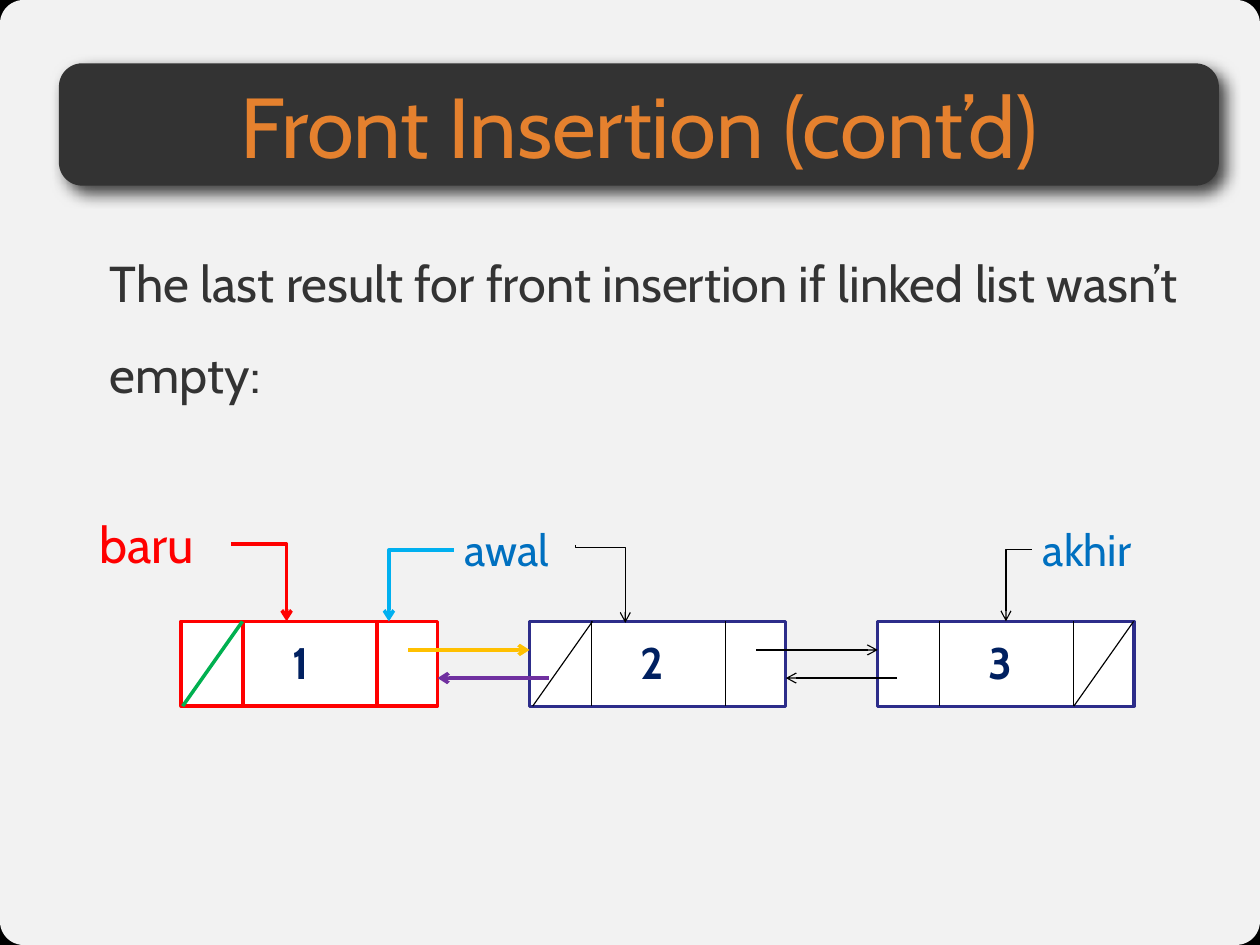
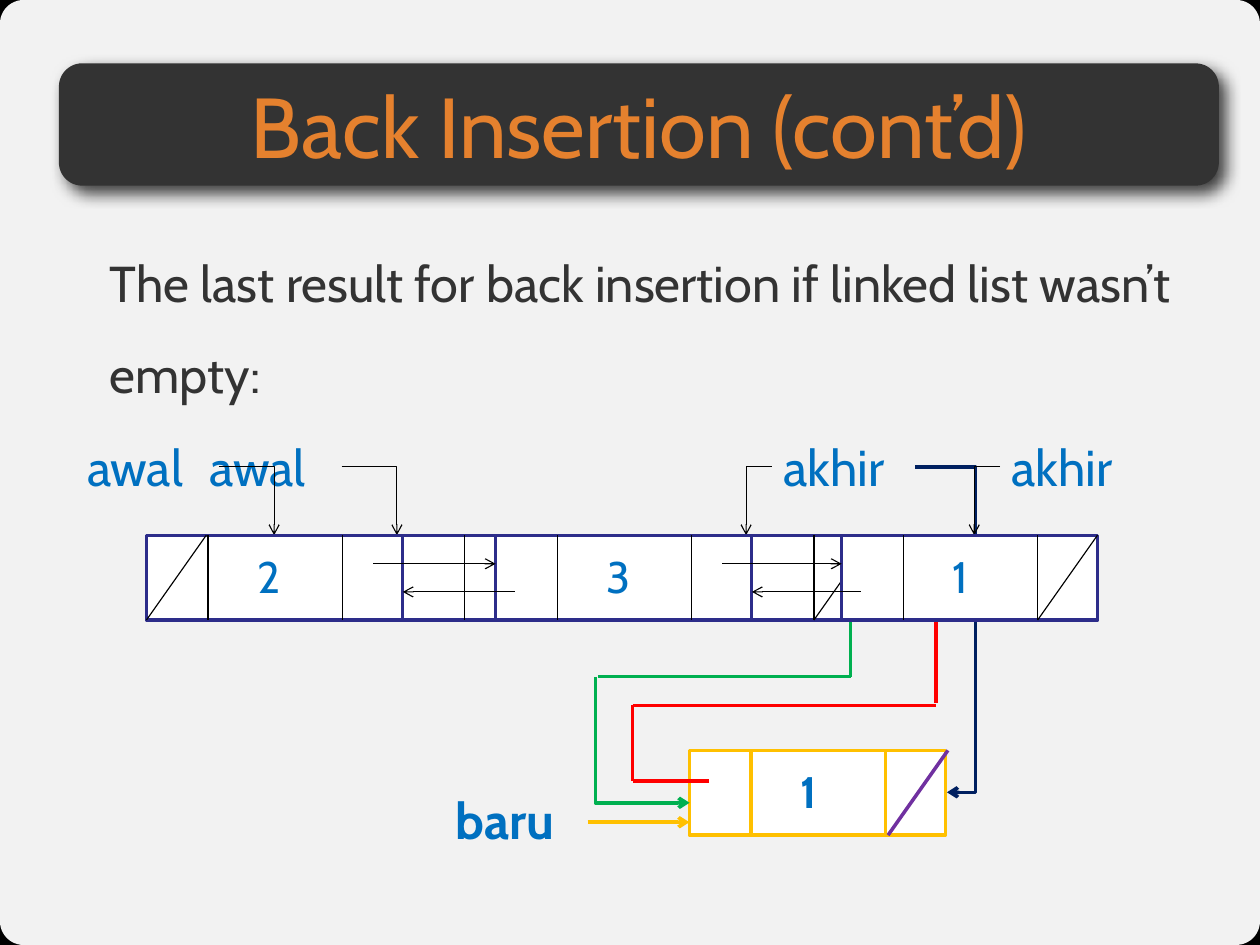
import pptx
import pptx.dml.color
import pptx.enum.shapes
import pptx.enum.text
import pptx.oxml
import pptx.oxml.ns
import pptx.util
from lxml import etree

Cm = pptx.util.Cm
Pt = pptx.util.Pt
qn = pptx.oxml.ns.qn
SHAPE = pptx.enum.shapes.MSO_SHAPE
CONNECTOR = pptx.enum.shapes.MSO_CONNECTOR

COLORS = {
    "black": "000000", "white": "FFFFFF", "charcoal": "333333",
    "orange": "E5812E", "indigo": "2D2D8A", "navy": "002060",
    "blue": "0070C0", "sky": "00B0F0", "red": "FF0000",
    "green": "00B050", "gold": "FFC000", "purple": "7030A0",
}
FONT = "Cabin"
SLIDE_W, SLIDE_H = 28.22, 21.17
NODE_W, NODE_H = 5.74, 1.9
LEFT_DIV, RIGHT_DIV = 1.38, 4.39
THIN, NODE_LINE, THICK = 0.75, 2, 2.25
DOWN_LEFT = {"rot": 180, "flip": "flipV"}


def rgb(name):
    return pptx.dml.color.RGBColor.from_string(COLORS[name])


def add_box(s, kind, x, y, w, h, fill, line=None, weight=THIN):
    sp = s.shapes.add_shape(kind, Cm(x), Cm(y), Cm(w), Cm(h))
    sp.shadow.inherit = False
    sp.fill.solid()
    sp.fill.fore_color.rgb = rgb(fill)
    if line:
        sp.line.color.rgb = rgb(line)
        sp.line.width = Pt(weight)
    else:
        sp.line.fill.background()
    return sp


def add_text(s, text, x, y, w, h, size, color, bold=False, inset=True):
    tf = s.shapes.add_textbox(Cm(x), Cm(y), Cm(w), Cm(h)).text_frame
    tf.word_wrap = True
    if not inset:
        tf.margin_left = tf.margin_right = tf.margin_top = tf.margin_bottom = 0
    p = tf.paragraphs[0]
    p.text = text
    p.font.name = FONT
    p.font.size = Pt(size)
    p.font.bold = bold
    p.font.color.rgb = rgb(color)
    return tf


def add_label(s, text, x, y, w, size=32, color="blue", bold=False):
    tf = add_text(s, text, x, y, w, size * 0.05, size, color, bold)
    tf.auto_size = pptx.enum.text.MSO_AUTO_SIZE.SHAPE_TO_FIT_TEXT


def add_line(s, x1, y1, x2, y2, color="black", weight=THIN, arrow=False,
             kind=CONNECTOR.STRAIGHT):
    c = s.shapes.add_connector(kind, Cm(x1), Cm(y1), Cm(x2), Cm(y2))
    c.line.color.rgb = rgb(color)
    c.line.width = Pt(weight)
    if arrow:
        ln = c.line._get_or_add_ln()
        etree.SubElement(ln, qn("a:tailEnd"), type="arrow")
    etree.SubElement(c._element.spPr, qn("a:effectLst"))
    return c


def add_elbow(s, x, y, w, h, color="black", weight=THIN, rot=0, flip=None,
              bend=None):
    c = add_line(s, x, y, x + w, y + h, color, weight, True, CONNECTOR.ELBOW)
    spPr = c._element.spPr
    xfrm = spPr.find(qn("a:xfrm"))
    if rot:
        xfrm.set("rot", str(rot * 60000))
    if flip:
        xfrm.set(flip, "1")
    geom = spPr.find(qn("a:prstGeom"))
    if bend is None:
        geom.set("prst", "bentConnector2")
    else:
        av = geom.find(qn("a:avLst"))
        if av is None:
            av = etree.SubElement(geom, qn("a:avLst"))
        etree.SubElement(av, qn("a:gd"), name="adj1",
                         fmla=f"val {round(bend * 100000)}")


def add_node(s, x, y, text=None, line="indigo", weight=NODE_LINE,
             divider=("black", THIN), dividers=(LEFT_DIV, RIGHT_DIV),
             slash_at=None, slash=("black", THIN), color="blue", bold=False):
    add_box(s, SHAPE.RECTANGLE, x, y, NODE_W, NODE_H, "white", line, weight)
    for dx in dividers:
        add_line(s, x + dx, y, x + dx, y + NODE_H, *divider)
    if slash_at is not None:
        left = x + slash_at
        add_line(s, left + LEFT_DIV - 0.04, y, left, y + NODE_H, *slash)
    if text:
        add_label(s, text, x + 2.24, y + 0.2, 1.6, 28, color, bold)


def add_links(s, x, next_x, y, forward=("black", THIN), back=("black", THIN)):
    add_line(s, x + 5.08, y + 0.64, next_x, y + 0.64, *forward, arrow=True)
    add_line(s, next_x + 0.43, y + 1.27, x + NODE_W, y + 1.27, *back, arrow=True)


def add_base(prs, title, body):
    s = prs.slides.add_slide(prs.slide_layouts[6])
    frame = add_box(s, SHAPE.ROUNDED_RECTANGLE, 0, 0, SLIDE_W, SLIDE_H, "white")
    frame.adjustments[0] = 0.025
    clr = frame._element.spPr.find(qn("a:solidFill"))[0]
    etree.SubElement(clr, qn("a:alpha"), val="95000")

    tf = add_text(s, body, 2.46, 4.98, 24.28, 14.2, 32, "charcoal", inset=False)
    tf.paragraphs[0].line_spacing = 1.5

    band = add_box(s, SHAPE.ROUNDED_RECTANGLE, 1.32, 1.42, 25.98, 2.74, "charcoal")
    band.adjustments[0] = 0.19
    effects = band._element.spPr.find(qn("a:effectLst"))
    shadow = etree.SubElement(effects, qn("a:outerShdw"), blurRad=str(Pt(10)),
                              dist=str(Pt(6)), dir=str(51 * 60000),
                              algn="tl", rotWithShape="0")
    clr = etree.SubElement(shadow, qn("a:srgbClr"), val=COLORS["black"])
    etree.SubElement(clr, qn("a:alpha"), val="75000")

    tf = add_text(s, title, 1.32, 1.52, 25.98, 2.54, 54, "orange", inset=False)
    tf.vertical_anchor = pptx.enum.text.MSO_ANCHOR.MIDDLE
    tf.paragraphs[0].alignment = pptx.enum.text.PP_ALIGN.CENTER
    return s


def build_front_insertion(prs):
    s = add_base(prs, "Front Insertion (cont’d)",
                 "The last result for front insertion if linked list wasn’t empty:")
    y = 13.92
    first, second, third = [4.06 + 7.8 * i for i in range(3)]
    add_node(s, third, y, "3", slash_at=RIGHT_DIV, color="navy", bold=True)
    add_node(s, second, y, "2", slash_at=0.07, color="navy", bold=True)
    add_node(s, first, y, "1", "red", THICK, ("red", THICK), slash_at=0.03,
             slash=("green", THICK), color="navy", bold=True)
    add_links(s, first, second, y, ("gold", THICK), ("purple", THICK))
    add_links(s, second, third, y)

    add_label(s, "akhir", 23.11, 11.58, 3.2, 28)
    add_elbow(s, 22.53, 12.32, 0.58, 1.6, **DOWN_LEFT)
    add_label(s, "awal", 10.16, 11.58, 2.74, 28)
    add_elbow(s, 12.57, 12.52, 1.75, 1.12, rot=270, flip="flipH", bend=0.04)
    add_elbow(s, 8.71, 12.32, 1.45, 1.6, "sky", THICK, **DOWN_LEFT)
    add_label(s, "baru", 1.98, 11.38, 3.2, color="red")
    add_elbow(s, 5.18, 12.19, 1.24, 1.73, "red", THICK)


def build_back_insertion(prs):
    s = add_base(prs, "Back Insertion (cont’d)",
                 "The last result for back insertion if linked list wasn’t empty:")
    y, label_y, pointer_y = 11.99, 9.65, 10.46
    bottom = y + NODE_H

    add_node(s, 15.44, 16.81, "1", "gold", THICK, ("gold", THICK),
             slash_at=4.45, slash=("purple", THICK), bold=True)
    add_label(s, "baru", 9.96, 17.55, 3.2, bold=True)
    add_line(s, 13.16, 18.42, 15.44, 18.42, "gold", THICK, True)

    add_node(s, 13.84, y, dividers=(RIGHT_DIV,), slash_at=RIGHT_DIV)
    add_node(s, 6.02, y, dividers=(RIGHT_DIV,))

    for points in ((13.39, 15.16, 19.05, 15.16), (19.05, bottom, 19.05, 15.16)):
        add_line(s, *points, "green", THICK)
    add_elbow(s, 12.98, 15.52, 2.82, 2.11, "green", THICK, 270, "flipH")
    for points in ((14.17, 15.8, 20.96, 15.8), (15.88, 17.5, 14.17, 17.5),
                   (14.17, 17.5, 14.17, 15.8), (20.96, bottom, 20.96, 15.75)):
        add_line(s, *points, "red", THICK)
    add_elbow(s, 20.5, pointer_y, 0.71, 7.29, "navy", THICK, bend=1.9)

    for text, x in (("awal", 4.45), ("akhir", 17.3), ("awal", 1.7), ("akhir", 22.4)):
        add_label(s, text, x, label_y, 3.2)
    for x in (7.65, 4.9):
        add_elbow(s, x, pointer_y, 1.24, 1.53)
    for x in (16.71, 21.82):
        add_elbow(s, x, pointer_y, 0.58, 1.53, **DOWN_LEFT)

    first, second, third = 3.28, 11.1, 18.85
    add_node(s, second, y, "3")
    add_node(s, first, y, "2", slash_at=0)
    add_node(s, third, y, "1", slash_at=RIGHT_DIV)
    add_links(s, first, second, y)
    add_links(s, second, third, y)


def main():
    prs = pptx.Presentation()
    prs.slide_width, prs.slide_height = Cm(SLIDE_W), Cm(SLIDE_H)
    fill = prs.slide_master.background.fill
    fill.solid()
    fill.fore_color.rgb = rgb("black")
    build_front_insertion(prs)
    build_back_insertion(prs)
    prs.save("out.pptx")


if __name__ == "__main__":
    main()
